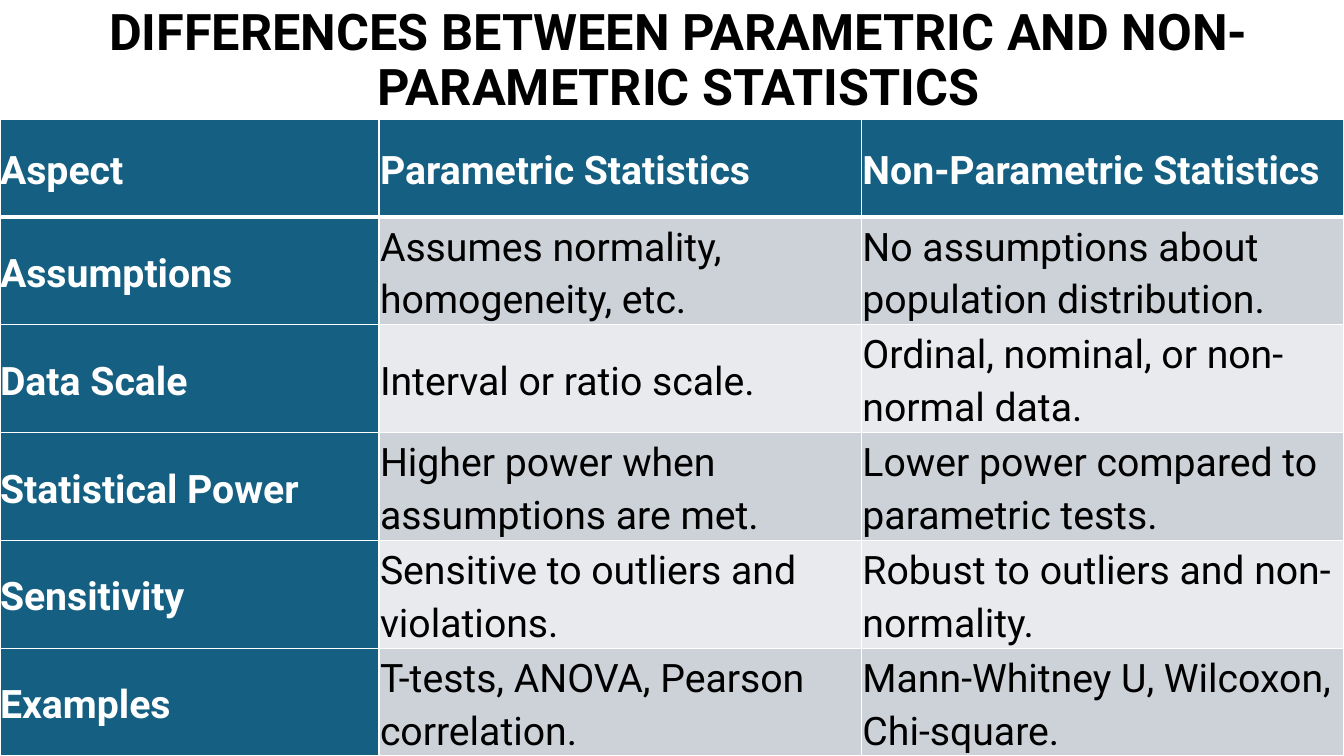
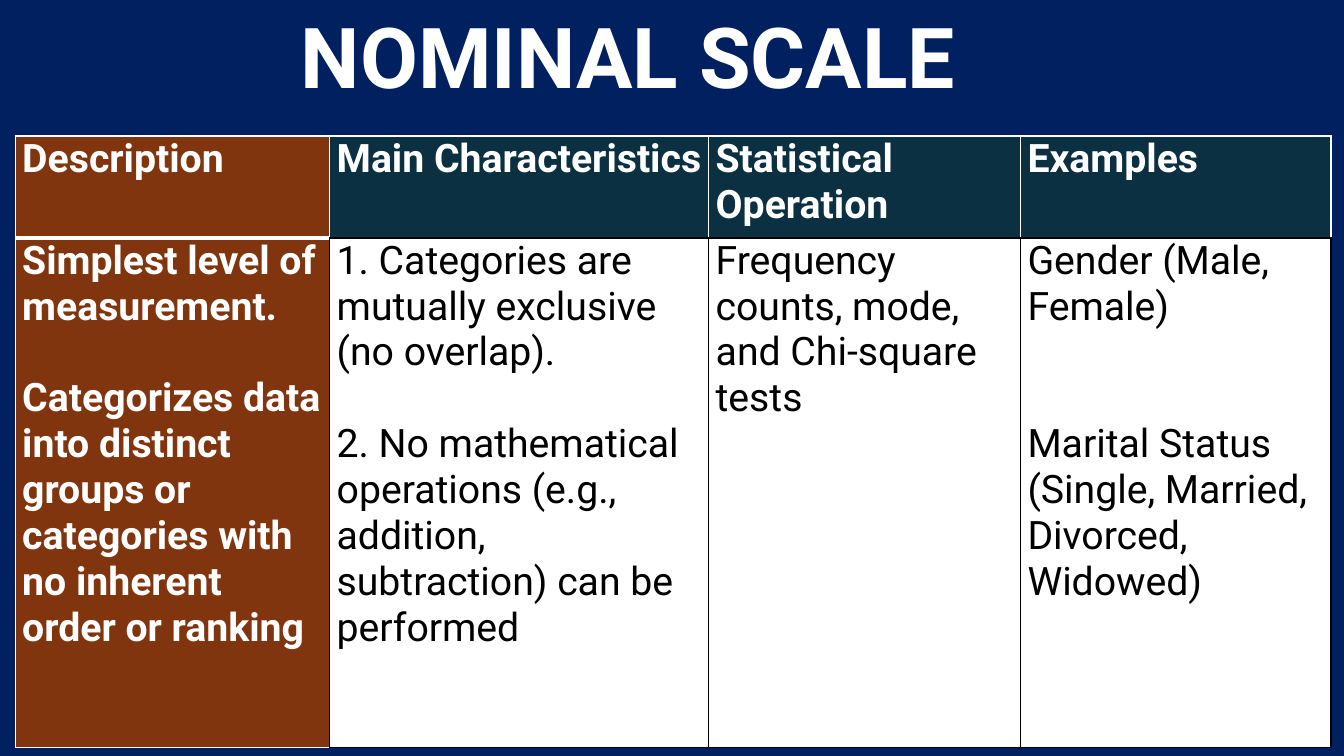
"""Build two slides that compare statistics and describe the nominal scale."""
from lxml import etree
from pptx import Presentation
from pptx.dml.color import RGBColor
from pptx.enum.text import MSO_ANCHOR, MSO_AUTO_SIZE, PP_ALIGN
from pptx.oxml.ns import qn
from pptx.util import Inches, Pt

TOP, MIDDLE, BOTTOM = MSO_ANCHOR.TOP, MSO_ANCHOR.MIDDLE, MSO_ANCHOR.BOTTOM
LEFT, CENTER = PP_ALIGN.LEFT, PP_ALIGN.CENTER
NO_FIT = MSO_AUTO_SIZE.NONE
rgb = RGBColor.from_string

FONT = "Roboto"
WHITE, BLACK, NAVY = "FFFFFF", "000000", "002060"
BLUE, BANDS = "156082", ("CCD2D8", "E8EAED")
BROWN, TEAL = "80350E", "0B3041"
TEXT_SIZE = 28
BLANK_LINE = 32.8


def write(tf, text, size=TEXT_SIZE, color=BLACK, bold=False, align=LEFT, spacing=1.0, gaps=()):
    """Fill a text frame; gaps holds the space before each later paragraph, in lines."""
    tf.word_wrap = True
    for i, line in enumerate(text.split("\n")):
        p = tf.add_paragraph() if i else tf.paragraphs[0]
        p.alignment, p.line_spacing = align, spacing
        p.space_before = Pt(gaps[i - 1] * BLANK_LINE if i else 0)
        r = p.add_run()
        r.text = line
        r.font.name, r.font.size, r.font.bold = FONT, Pt(size), bold
        r.font.color.rgb = rgb(color)


def paint(cell, fill, edges):
    """Draw a cell's edges, given as side: (colour, points), and its fill."""
    tc_pr = cell._tc.get_or_add_tcPr()
    for side in "LRTB":
        color, width = edges[side]
        ln = etree.SubElement(tc_pr, qn("a:ln" + side), w=str(Pt(width)))
        solid = etree.SubElement(ln, qn("a:solidFill"))
        etree.SubElement(solid, qn("a:srgbClr"), val=color)
    cell.fill.solid()
    cell.fill.fore_color.rgb = rgb(fill)


prs = Presentation()
prs.slide_width, prs.slide_height = Inches(13.33), Inches(7.5)
COL, ROW = prs.slide_width / 100, prs.slide_height / 100

SLIDES = [
    dict(
        title="DIFFERENCES BETWEEN PARAMETRIC AND NON-PARAMETRIC STATISTICS",
        title_box=(1, 1, 99, 15), title_size=36, title_color=BLACK, back=WHITE,
        origin=(0, 15.73), cols=[28.2, 35.9, 35.9], rows=[12.93] + [14.27] * 5,
        heads=[BLUE] * 3, bands=BANDS, line=WHITE, anchor=MIDDLE, spacing=1.15,
        margins=(0, 0.01, 0.01), gaps={},
        cells=[
            ["Aspect", "Parametric Statistics", "Non-Parametric Statistics"],
            ["Assumptions", "Assumes normality, homogeneity, etc.",
             "No assumptions about population distribution."],
            ["Data Scale", "Interval or ratio scale.", "Ordinal, nominal, or non-normal data."],
            ["Statistical Power", "Higher power when assumptions are met.",
             "Lower power compared to parametric tests."],
            ["Sensitivity", "Sensitive to outliers and violations.",
             "Robust to outliers and non-normality."],
            ["Examples", "T-tests, ANOVA, Pearson correlation.",
             "Mann-Whitney U, Wilcoxon, Chi-square."],
        ],
    ),
    dict(
        title="NOMINAL SCALE",
        title_box=(6, 1, 81.5, 13.73), title_size=60, title_color=WHITE, back=NAVY,
        origin=(1.13, 18), cols=[23.4, 28.2, 23.2, 23.1], rows=[13.47, 67.4],
        heads=[BROWN] + [TEAL] * 3, bands=(WHITE,), line=BLACK, anchor=TOP, spacing=1.0,
        margins=(0.07, 0.07, 0), gaps={0: [1], 1: [1], 3: [2]},
        cells=[
            ["Description", "Main Characteristics", "Statistical Operation", "Examples"],
            ["Simplest level of measurement.\n"
             "Categorizes data into distinct groups or categories with no inherent order or ranking",
             "1. Categories are mutually exclusive (no overlap).\n"
             "2. No mathematical operations (e.g., addition, subtraction) can be performed",
             "Frequency counts, mode, and Chi-square tests",
             "Gender (Male, Female)\nMarital Status (Single, Married, Divorced, Widowed)"],
        ],
    ),
]

for d in SLIDES:
    s = prs.slides.add_slide(prs.slide_layouts[5])
    s.background.fill.solid()
    s.background.fill.fore_color.rgb = rgb(d["back"])

    title = s.shapes.title
    x, y, w, h = d["title_box"]
    title.left, title.top = int(x * COL), int(y * ROW)
    title.width, title.height = int(w * COL), int(h * ROW)
    tf = title.text_frame
    tf.auto_size, tf.vertical_anchor = NO_FIT, BOTTOM
    write(tf, d["title"], size=d["title_size"], color=d["title_color"], bold=True,
          align=CENTER, spacing=0.9)

    x, y = d["origin"]
    table = s.shapes.add_table(
        len(d["rows"]), len(d["cols"]), int(x * COL), int(y * ROW),
        int(sum(d["cols"]) * COL), int(sum(d["rows"]) * ROW)).table
    table.first_row = table.horz_banding = False
    for column, share in zip(table.columns, d["cols"]):
        column.width = int(share * COL)
    for row, share in zip(table.rows, d["rows"]):
        row.height = int(share * ROW)

    line = (d["line"], 1)
    white, thick = (WHITE, 1), (WHITE, 3)
    for i, texts in enumerate(d["cells"]):
        for j, text in enumerate(texts):
            head = i == 0 or j == 0
            fill = d["heads"][j] if head else d["bands"][(i - 1) % len(d["bands"])]
            edges = dict.fromkeys("LRTB", white if head else line)
            rule = thick if j == 0 or d["line"] == WHITE else line
            if i == 0:
                edges["B"] = rule
            elif i == 1:
                edges["T"] = rule
            if i and j == 0:
                edges["R"] = line
            cell = table.cell(i, j)
            paint(cell, fill, edges)
            left, right, vertical = d["margins"]
            cell.margin_left = Inches(left if j == 0 else right)
            cell.margin_right = Inches(right)
            cell.margin_top = cell.margin_bottom = Inches(vertical)
            cell.vertical_anchor = d["anchor"]
            write(cell.text_frame, text, color=WHITE if head else BLACK, bold=head,
                  spacing=d["spacing"], gaps=d["gaps"].get(j, ()))

prs.save("out.pptx")
